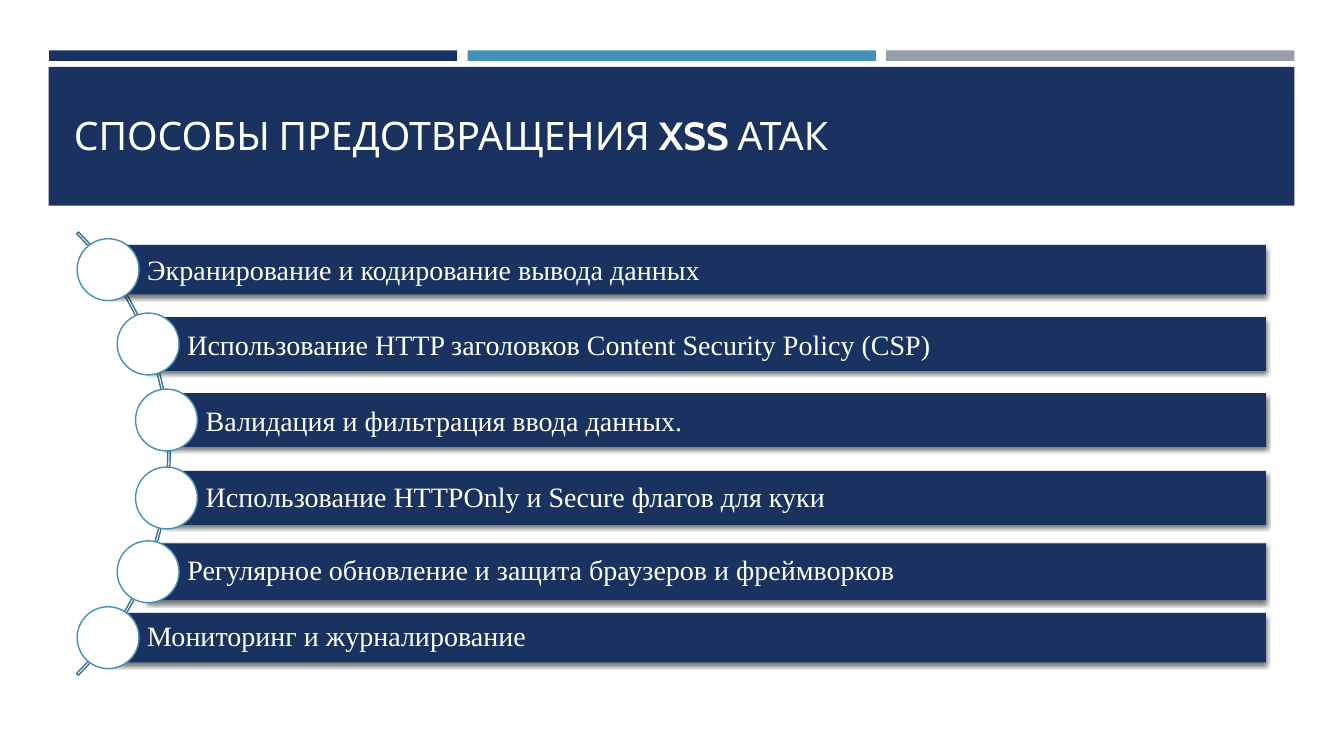
from dataclasses import dataclass

from lxml import etree
from pptx import Presentation
from pptx.dml.color import RGBColor
from pptx.enum.shapes import MSO_SHAPE
from pptx.enum.text import MSO_ANCHOR, PP_ALIGN
from pptx.oxml.ns import qn
from pptx.util import Pt

RECTANGLE = MSO_SHAPE.RECTANGLE
OVAL = MSO_SHAPE.OVAL
BLOCK_ARC = MSO_SHAPE.BLOCK_ARC
MIDDLE = MSO_ANCHOR.MIDDLE
LEFT = PP_ALIGN.LEFT

COLORS = {
    "navy": "1A3260",
    "blue": "4590B8",
    "gray": "969FA7",
    "arc": "377393",
    "white": "FFFFFF",
    "shadow": "000000",
}
BAR_RIGHT = 904.3
CIRCLE_SIZE = 44.2


@dataclass
class Method:
    text: str
    left: float
    middle: float
    height: float
    line_spacing: float = 1.0


METHODS = [
    Method("Экранирование и кодирование вывода данных", 77.2, 192.6, 35.3),
    Method("Использование HTTP заголовков Content Security Policy (CSP)", 105.8, 245.7, 38.5),
    Method("Валидация и фильтрация ввода данных.", 118.9, 300, 38.5),
    Method("Использование HTTPOnly и Secure флагов для куки", 118.9, 355.7, 38.5, 0.9),
    Method("Регулярное обновление и защита браузеров и фреймворков", 105.8, 408.4, 40.5, 0.9),
    Method("Мониторинг и журналирование", 77.2, 455.5, 35.3, 0.9),
]


def add_figure(slide, kind, left: float, top: float, width: float, height: float,
               fill: str | None = None, line: str | None = None):
    shape = slide.shapes.add_shape(kind, Pt(left), Pt(top), Pt(width), Pt(height))
    shape.shadow.inherit = False
    if fill:
        shape.fill.solid()
        shape.fill.fore_color.rgb = RGBColor.from_string(COLORS[fill])
    else:
        shape.fill.background()
    if line:
        shape.line.color.rgb = RGBColor.from_string(COLORS[line])
        shape.line.width = Pt(1)
    else:
        shape.line.fill.background()
    return shape


def add_shadow(shape) -> None:
    effects = shape._element.spPr.find(qn("a:effectLst"))
    shadow = etree.SubElement(effects, qn("a:outerShdw"), blurRad=str(Pt(3)),
                              dist=str(Pt(2)), dir="5400000", rotWithShape="0")
    color = etree.SubElement(shadow, qn("a:srgbClr"), val=COLORS["shadow"])
    etree.SubElement(color, qn("a:alpha"), val="55000")


def write_text(shape, *runs: tuple[str, bool], font: str, size: float,
               margins: tuple[float, float, float, float], line_spacing: float = 1.0) -> None:
    frame = shape.text_frame
    frame.word_wrap = True
    frame.vertical_anchor = MIDDLE
    frame.margin_left, frame.margin_top, frame.margin_right, frame.margin_bottom = map(Pt, margins)
    paragraph = frame.paragraphs[0]
    paragraph.alignment = LEFT
    paragraph.line_spacing = line_spacing
    for text, bold in runs:
        run = paragraph.add_run()
        run.text = text
        run.font.name = font
        run.font.size = Pt(size)
        run.font.bold = bold
        run.font.color.rgb = RGBColor.from_string(COLORS["white"])


def add_header(slide) -> None:
    for index, color in enumerate(("navy", "blue", "gray")):
        add_figure(slide, RECTANGLE, 35 + index * 299, 36, 291.6, 7.5, color)
    add_figure(slide, RECTANGLE, 34.8, 47.8, 889.7, 99.2, "navy")
    title = slide.shapes.add_textbox(Pt(45.7), Pt(57.6), Pt(868.3), Pt(77.8))
    write_text(title, ("СПОСОБЫ ПРЕДОТВРАЩЕНИЯ ", False), ("XSS", True), (" АТАК", False),
               font="Cabin", size=28, margins=(7.2, 3.6, 7.2, 3.6))


def add_method(slide, method: Method) -> None:
    bar = add_figure(slide, RECTANGLE, method.left, method.middle - method.height / 2,
                     BAR_RIGHT - method.left, method.height, "navy")
    add_shadow(bar)
    write_text(bar, (method.text, False), font="Times New Roman", size=20,
               margins=(28, 4, 4, 4), line_spacing=method.line_spacing)
    add_figure(slide, OVAL, method.left - CIRCLE_SIZE / 2, method.middle - CIRCLE_SIZE / 2,
               CIRCLE_SIZE, CIRCLE_SIZE, "white", "blue")


def main() -> None:
    """Build the slide on ways to prevent XSS attacks."""
    presentation = Presentation()
    presentation.slide_width = Pt(960)
    presentation.slide_height = Pt(540)
    slide = presentation.slides.add_slide(presentation.slide_layouts[6])
    add_header(slide)
    arc = add_figure(slide, BLOCK_ARC, -326.2, 100.1, 447.8, 447.8, line="arc")
    for index, value in enumerate((189, 27, 0.004)):
        arc.adjustments[index] = value
    for method in METHODS:
        add_method(slide, method)
    presentation.save("out.pptx")


if __name__ == "__main__":
    main()
